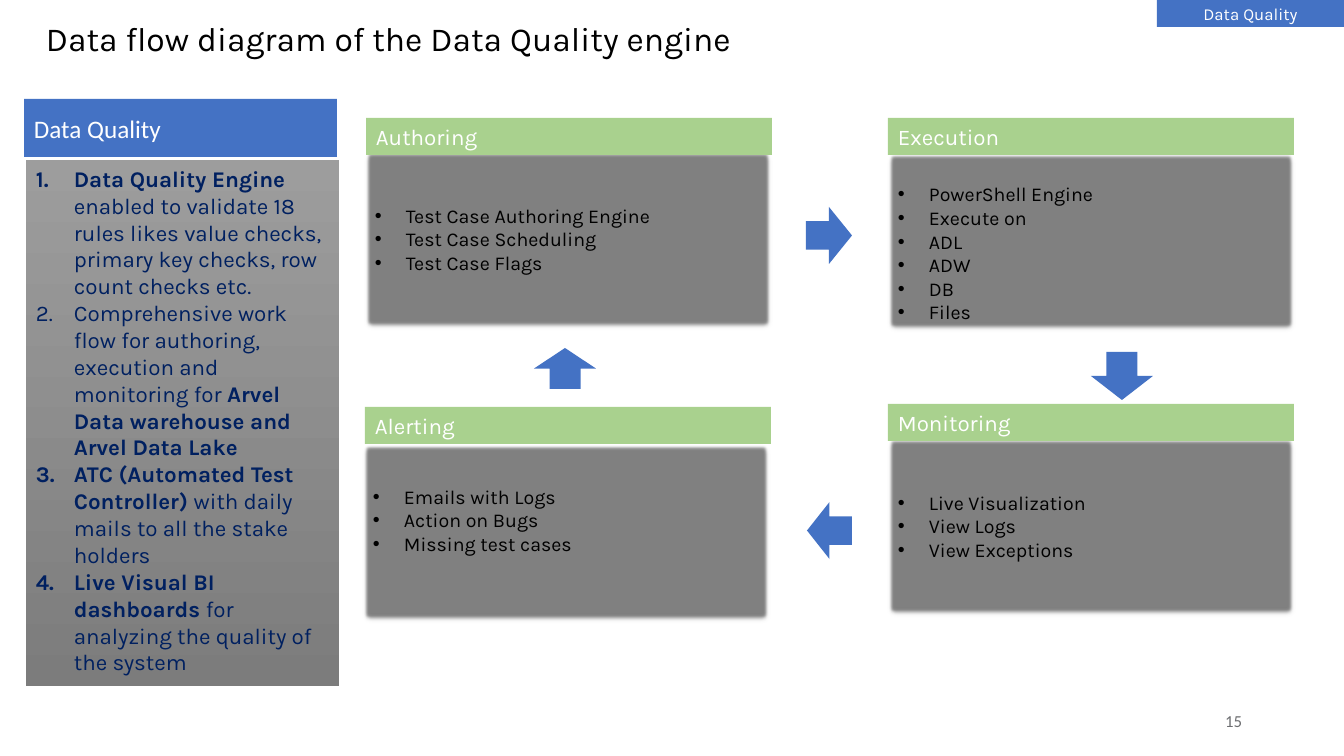
from lxml.etree import SubElement
from pptx import Presentation
from pptx.dml.color import RGBColor
from pptx.enum.shapes import MSO_SHAPE as Preset
from pptx.enum.text import MSO_ANCHOR as Anchor, PP_ALIGN as Align
from pptx.oxml.ns import qn
from pptx.util import Pt

WIDTH, HEIGHT = 1344, 756
SCALE = 12192000 / WIDTH

BLACK = RGBColor(0x00, 0x00, 0x00)
WHITE = RGBColor(0xFF, 0xFF, 0xFF)
BLUE = RGBColor(0x44, 0x72, 0xC4)
EDGE_BLUE = RGBColor(0x5B, 0x9B, 0xD5)
NAVY = RGBColor(0x00, 0x20, 0x60)
GREEN = RGBColor(0xA9, 0xD1, 0x8E)
GRAY = RGBColor(0x80, 0x80, 0x80)
LIGHT_GRAY = RGBColor(0x9D, 0x9D, 0x9D)
DARK_GRAY = RGBColor(0x7C, 0x7C, 0x7C)
NUMBER_GRAY = RGBColor(0x6D, 0x6E, 0x71)

CARD_WIDTH, HEADER_HEIGHT, BODY_HEIGHT = 406, 37, 176
BULLET_LINE = 24

# Heading, header corner, body corner, extra inset above and below, bullets
CARDS = [
    ("Authoring", (366, 118), (365, 151), (0, 0),
     ["Test Case Authoring Engine", "Test Case Scheduling", "Test Case Flags"]),
    ("Execution", (888, 118), (888, 153), (BULLET_LINE, 0),
     ["PowerShell Engine", "Execute on", "ADL", "ADW", "DB", "Files"]),
    ("Monitoring", (888, 404), (888, 438), (0, 0),
     ["Live Visualization", "View Logs", "View Exceptions"]),
    ("Alerting", (365, 407), (363, 444), (0, BULLET_LINE),
     ["Emails with Logs", "Action on Bugs", "Missing test cases"]),
]

ARROWS = [
    (Preset.RIGHT_ARROW, (806, 207, 46, 57), 0),
    (Preset.DOWN_ARROW, (1091, 352, 62, 48), 0),
    (Preset.RIGHT_ARROW, (807, 502, 45, 57), 180),
    (Preset.DOWN_ARROW, (534, 348, 62, 41), 180),
]

# Each point is a list of (text, bold) spans
POINTS = [
    [("Data Quality Engine ", True),
     ("enabled to validate 18 rules likes value checks, primary key checks, "
      "row count checks etc.", False)],
    [("Comprehensive work flow for authoring, execution and monitoring for ", False),
     ("Arvel Data warehouse and Arvel Data Lake", True)],
    [("ATC (Automated Test Controller) ", True),
     ("with daily mails to all the stake holders", False)],
    [("Live Visual BI dashboards ", True),
     ("for analyzing the quality of the system", False)],
]


def px(length):
    return round(length * SCALE)


def style_span(span, size, color, font="Karla", bold=False):
    span.font.name = font
    span.font.size = Pt(size)
    span.font.color.rgb = color
    span.font.bold = bold


def add_box(page, area, fill=None, preset=Preset.RECTANGLE):
    box = page.shapes.add_shape(preset, *map(px, area))
    box.shadow.inherit = False
    box.line.fill.background()
    if fill is not None:
        box.fill.solid()
        box.fill.fore_color.rgb = fill
    return box


def set_label(box, text, size, color, font="Karla", align=Align.LEFT,
              anchor=Anchor.MIDDLE):
    frame = box.text_frame
    frame.text = text
    frame.word_wrap = True
    frame.vertical_anchor = anchor
    para = frame.paragraphs[0]
    para.alignment = align
    style_span(para.runs[0], size, color, font)
    return para


def add_label(page, area, *args, **options):
    box = page.shapes.add_textbox(*map(px, area))
    return set_label(box, *args, **options)


def add_list(box, items, indent, size, color, marker, anchor):
    """Fill a box with list items, each a list of (text, bold) spans."""
    frame = box.text_frame
    frame.word_wrap = True
    frame.vertical_anchor = anchor
    for index, item in enumerate(items):
        para = frame.add_paragraph() if index else frame.paragraphs[0]
        para.alignment = Align.LEFT
        props = para._p.get_or_add_pPr()
        props.set("marL", str(px(indent)))
        props.set("indent", str(-px(indent)))
        if marker == "•":
            SubElement(props, qn("a:buFont"), typeface="Arial")
            SubElement(props, qn("a:buChar"), char=marker)
        else:
            SubElement(props, qn("a:buFont"), typeface="+mj-lt")
            SubElement(props, qn("a:buAutoNum"), type=marker)
        for text, bold in item:
            span = para.add_run()
            span.text = text
            style_span(span, size, color, bold=bold)


def soften(box):
    """Give a box a soft shadow below and a feathered edge."""
    effects = box._element.spPr.find(qn("a:effectLst"))
    shadow = SubElement(effects, qn("a:outerShdw"), blurRad=str(Pt(3.1)),
                        dist=str(Pt(1.6)), dir="5400000", rotWithShape="0")
    color = SubElement(shadow, qn("a:srgbClr"), val="000000")
    SubElement(color, qn("a:alpha"), val="38000")
    SubElement(effects, qn("a:softEdge"), rad=str(Pt(2.5)))


def add_card(page, heading, header_corner, body_corner, insets, bullets):
    body = add_box(page, (*body_corner, CARD_WIDTH, BODY_HEIGHT), GRAY)
    body.line.color.rgb = EDGE_BLUE
    body.line.width = Pt(0.5)
    soften(body)
    frame = body.text_frame
    frame.margin_top, frame.margin_bottom = (px(5 + extra) for extra in insets)
    items = [[(text, False)] for text in bullets]
    add_list(body, items, 31, 14, BLACK, "•", Anchor.MIDDLE)

    header = add_box(page, (*header_corner, CARD_WIDTH, HEADER_HEIGHT), GREEN)
    set_label(header, heading, 16, WHITE, anchor=Anchor.TOP)


def add_sidebar(page):
    panel = add_box(page, (26, 160, 313, 526))
    panel.fill.gradient()
    panel.fill.gradient_angle = 270
    for stop, color in zip(panel.fill.gradient_stops, (LIGHT_GRAY, DARK_GRAY)):
        stop.color.rgb = color
    add_list(panel, POINTS, 38, 16, NAVY, "arabicPeriod", Anchor.TOP)

    header = add_box(page, (24, 99, 313, 58), BLUE)
    set_label(header, "Data Quality", 18, WHITE, "Calibri")


def main():
    deck = Presentation()
    deck.slide_width, deck.slide_height = px(WIDTH), px(HEIGHT)
    page = deck.slides.add_slide(deck.slide_layouts[6])

    # Title and slide number
    title = add_label(page, (36, 2, 1276, 78),
                      "Data flow diagram of the Data Quality engine", 24, BLACK)
    title.line_spacing = 0.9
    add_label(page, (950, 701, 302, 40), "15", 12, NUMBER_GRAY, "Calibri", Align.RIGHT)

    # Cycle of cards and arrows
    for card in CARDS:
        add_card(page, *card)
    for preset, area, rotation in ARROWS:
        add_box(page, area, BLUE, preset).rotation = rotation

    # Sidebar and corner tag
    add_sidebar(page)
    tag = add_box(page, (1157, 0, 187, 27), BLUE)
    set_label(tag, "Data Quality", 12, WHITE, align=Align.CENTER)

    deck.save("out.pptx")


if __name__ == "__main__":
    main()
